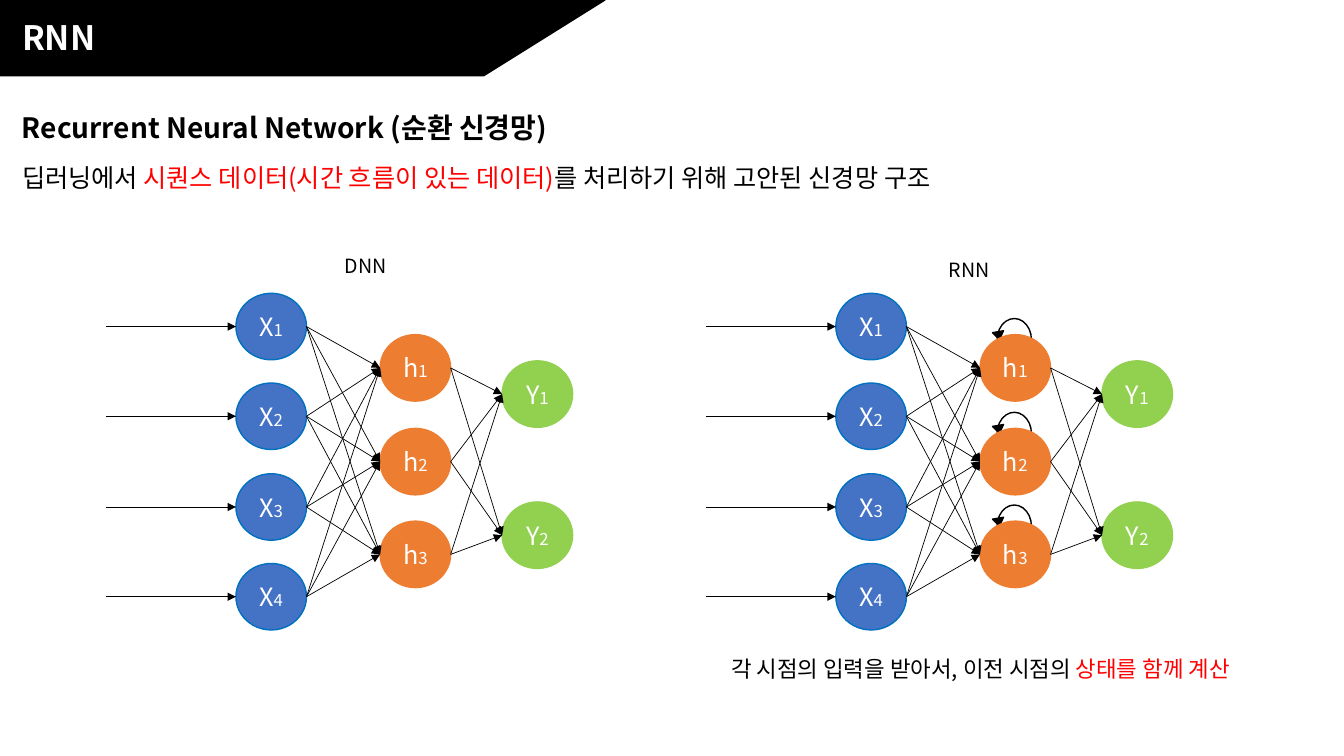
import pptx
import pptx.dml.color
import pptx.enum.shapes
import pptx.enum.text
import pptx.oxml
import pptx.oxml.ns
import pptx.util

RGBColor = pptx.dml.color.RGBColor
SHAPE = pptx.enum.shapes.MSO_SHAPE
ALIGN = pptx.enum.text.PP_ALIGN

BLACK = RGBColor(0x00, 0x00, 0x00)
WHITE = RGBColor(0xFF, 0xFF, 0xFF)
RED = RGBColor(0xFF, 0x00, 0x00)
INPUT_BLUE = RGBColor(0x44, 0x72, 0xC4)
INPUT_EDGE = RGBColor(0x00, 0x70, 0xC0)
HIDDEN_ORANGE = RGBColor(0xED, 0x7D, 0x31)
OUTPUT_GREEN = RGBColor(0x92, 0xD0, 0x50)

FONT = "Noto Sans CJK KR"
PX = 9144
SLIDE_SIZE = (1333, 750)

BANNER = [
    (SHAPE.RECTANGLE, (0, 0, 198, 75)),
    (SHAPE.FLOWCHART_DATA, (0, 0, 600, 75)),
]
TEXTS = [
    ((12, 12, 371, 50), 24, True, ALIGN.LEFT, [("RNN", WHITE)]),
    ((12, 105, 844, 44), 20, True, ALIGN.LEFT,
     [("Recurrent Neural Network (순환 신경망)", BLACK)]),
    ((12, 156, 1285, 40), 18, False, ALIGN.LEFT,
     [("딥러닝에서 ", BLACK),
      ("시퀀스 데이터(시간 흐름이 있는 데이터)", RED),
      ("를 처리하기 위해 고안된 신경망 구조", BLACK)]),
    ((328, 247, 69, 34), 14, False, ALIGN.CENTER, [("DNN", BLACK)]),
    ((927, 251, 69, 34), 14, False, ALIGN.CENTER, [("RNN", BLACK)]),
    ((638, 645, 669, 37), 16, False, ALIGN.CENTER,
     [("각 시점의 입력을 받아서, 이전 시점의 ", BLACK),
      ("상태를 함께 계산", RED)]),
]

NODE_WIDTH, NODE_HEIGHT = 70, 66
INPUT_ARROW_LENGTH = 129
LAYERS = [
    ("X", 4, 234, 324, 592, INPUT_BLUE, INPUT_EDGE),
    ("h", 3, 377, 365, 550, HIDDEN_ORANGE, HIDDEN_ORANGE),
    ("Y", 2, 498, 391, 531, OUTPUT_GREEN, OUTPUT_GREEN),
]
NETWORKS = [(0, False), (595, True)]


def emu(lengths):
    return [pptx.util.Emu(length * PX) for length in lengths]


def add_shape(shapes, kind, box, fill, edge):
    shape = shapes.add_shape(kind, *emu(box))
    shape.shadow.inherit = False
    if fill is None:
        shape.fill.background()
    else:
        shape.fill.solid()
        shape.fill.fore_color.rgb = fill
    shape.line.color.rgb = edge
    shape.line.width = pptx.util.Pt(1)
    return shape


def style_paragraph(paragraph, size, alignment):
    paragraph.alignment = alignment
    paragraph.font.name = FONT
    paragraph.font.size = pptx.util.Pt(size)
    properties = paragraph._p.get_or_add_pPr().get_or_add_defRPr()
    east_asian = pptx.oxml.parse_xml(
        f'<a:ea {pptx.oxml.ns.nsdecls("a")} typeface="{FONT}"/>')
    properties.find(pptx.oxml.ns.qn("a:latin")).addnext(east_asian)


def add_text(shapes, box, size, bold, alignment, runs):
    frame = shapes.add_textbox(*emu(box)).text_frame
    frame.word_wrap = True
    frame.auto_size = pptx.enum.text.MSO_AUTO_SIZE.SHAPE_TO_FIT_TEXT
    paragraph = frame.paragraphs[0]
    style_paragraph(paragraph, size, alignment)
    paragraph.font.bold = bold
    for text, color in runs:
        run = paragraph.add_run()
        run.text = text
        run.font.color.rgb = color


def add_node(shapes, letter, number, left, center, fill, edge):
    box = (left, center - NODE_HEIGHT // 2, NODE_WIDTH, NODE_HEIGHT)
    frame = add_shape(shapes, SHAPE.OVAL, box, fill, edge).text_frame
    frame.word_wrap = False
    frame.vertical_anchor = pptx.enum.text.MSO_ANCHOR.MIDDLE
    paragraph = frame.paragraphs[0]
    style_paragraph(paragraph, 18, ALIGN.CENTER)
    paragraph.font.color.rgb = WHITE
    paragraph.add_run().text = letter
    subscript = paragraph.add_run()
    subscript.text = str(number)
    subscript.font.size = pptx.util.Pt(12)


def add_arrow(shapes, start, end):
    arrow = shapes.add_connector(
        pptx.enum.shapes.MSO_CONNECTOR.STRAIGHT, *emu(start + end))
    arrow.line.color.rgb = BLACK
    arrow.line.width = pptx.util.Pt(0.5)
    namespace = pptx.oxml.ns.nsdecls("a")
    arrow.line._get_or_add_ln().append(
        pptx.oxml.parse_xml(f'<a:tailEnd {namespace} type="triangle"/>'))
    arrow._element.spPr.append(
        pptx.oxml.parse_xml(f"<a:effectLst {namespace}/>"))


def add_loop(shapes, left, center):
    top = center - NODE_HEIGHT // 2
    head = add_shape(
        shapes, SHAPE.ISOSCELES_TRIANGLE, (left + 13, top - 3, 11, 8), BLACK, BLACK)
    head.rotation = 170.3
    add_shape(shapes, SHAPE.OVAL, (left + 17, top - 16, 34, 42), None, BLACK)


def add_network(shapes, offset, recurrent):
    previous = []
    for letter, count, layer_left, first, last, fill, edge in LAYERS:
        left = layer_left + offset
        centers = [round(first + (last - first) * i / (count - 1))
                   for i in range(count)]
        for number, center in enumerate(centers, 1):
            if recurrent and letter == "h":
                add_loop(shapes, left, center)
            add_node(shapes, letter, number, left, center, fill, edge)
            starts = previous or [(left - INPUT_ARROW_LENGTH, center)]
            for start in starts:
                add_arrow(shapes, start, (left, center))
        previous = [(left + NODE_WIDTH, center) for center in centers]


def main():
    presentation = pptx.Presentation()
    presentation.slide_width, presentation.slide_height = emu(SLIDE_SIZE)
    slide = presentation.slides.add_slide(presentation.slide_layouts[6])
    for kind, box in BANNER:
        add_shape(slide.shapes, kind, box, BLACK, BLACK)
    for offset, recurrent in NETWORKS:
        add_network(slide.shapes.add_group_shape().shapes, offset, recurrent)
    for text in TEXTS:
        add_text(slide.shapes, *text)
    presentation.save("out.pptx")


if __name__ == "__main__":
    main()
